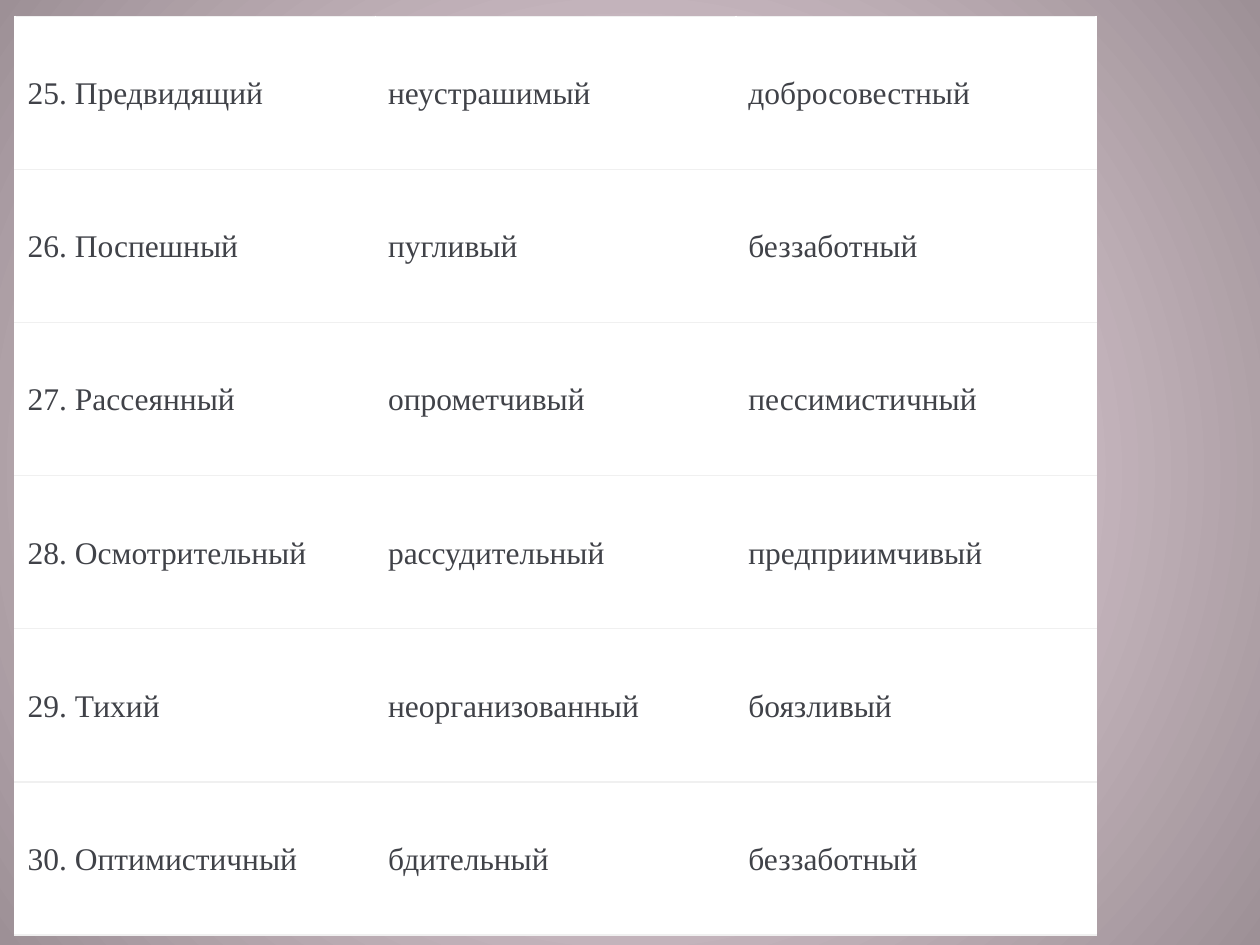
import pptx
import pptx.util
import pptx.dml.color
import pptx.enum.text
import pptx.oxml.ns
from lxml import etree

Inches, Pt = pptx.util.Inches, pptx.util.Pt
RGBColor = pptx.dml.color.RGBColor
qn = pptx.oxml.ns.qn

PINK = RGBColor(0xFC, 0xE7, 0xF1)
MAUVE = RGBColor(0x9D, 0x90, 0x96)
WHITE = RGBColor(0xFF, 0xFF, 0xFF)
RULE = RGBColor(0xF0, 0xF0, 0xF0)
INK = RGBColor(0x40, 0x42, 0x48)

TRAITS = [
    ("25. Предвидящий", "неустрашимый", "добросовестный"),
    ("26. Поспешный", "пугливый", "беззаботный"),
    ("27. Рассеянный", "опрометчивый", "пессимистичный"),
    ("28. Осмотрительный", "рассудительный", "предприимчивый"),
    ("29. Тихий", "неорганизованный", "боязливый"),
    ("30. Оптимистичный", "бдительный", "беззаботный"),
]
COL_W, ROW_H = Inches(2.86), Inches(7.29 / len(TRAITS))
CELL_FORMAT = dict.fromkeys(
    ("margin_left", "margin_right", "margin_top", "margin_bottom"), Inches(0.1))
CELL_FORMAT["vertical_anchor"] = pptx.enum.text.MSO_ANCHOR.MIDDLE
PARAGRAPH_FORMAT = {"line_spacing": 1.07, "space_after": Pt(15)}
FONT_FORMAT = {"name": "Times New Roman", "size": Pt(18), "bold": False}


def apply_format(obj, values):
    for name, value in values.items():
        setattr(obj, name, value)


def add_border(cell, side, position):
    """Draw a 1 pt rule; borders must come before the fill in the cell's XML."""
    ln = etree.Element(qn("a:" + side), w=str(Pt(1)))
    fill = etree.SubElement(ln, qn("a:solidFill"))
    etree.SubElement(fill, qn("a:srgbClr"), val=str(RULE))
    cell._tc.get_or_add_tcPr().insert(position, ln)


prs = pptx.Presentation()
prs.slide_width, prs.slide_height = Inches(10), Inches(7.5)
s = prs.slides.add_slide(prs.slide_layouts[6])

# Radial background, light in the middle
bg = s.background.fill
bg.gradient()
for stop, position, color in zip(bg.gradient_stops, (0, 1), (PINK, MAUVE)):
    stop.position = position
    stop.color.rgb = color
grad = s._element.find(".//" + qn("a:gradFill"))
lin = grad.find(qn("a:lin"))
radial = etree.Element(qn("a:path"), {"path": "circle"})
etree.SubElement(radial, qn("a:fillToRect"), dict.fromkeys("ltrb", "50000"))
grad.replace(lin, radial)

# Table of traits
rows, cols = len(TRAITS), len(TRAITS[0])
table = s.shapes.add_table(rows, cols, Inches(0.12), Inches(0.13),
                           COL_W * cols, ROW_H * rows).table
table.first_row = table.horz_banding = False
for col in table.columns:
    col.width = COL_W
for row, words in zip(table.rows, TRAITS):
    row.height = ROW_H
    for cell, word in zip(row.cells, words):
        apply_format(cell, CELL_FORMAT)
        cell.fill.solid()
        cell.fill.fore_color.rgb = WHITE
        add_border(cell, "lnT", 0)
        add_border(cell, "lnB", 1)
        p = cell.text_frame.paragraphs[0]
        apply_format(p, PARAGRAPH_FORMAT)
        r = p.add_run()
        r.text = word
        apply_format(r.font, FONT_FORMAT)
        r.font.color.rgb = INK

prs.save("out.pptx")
